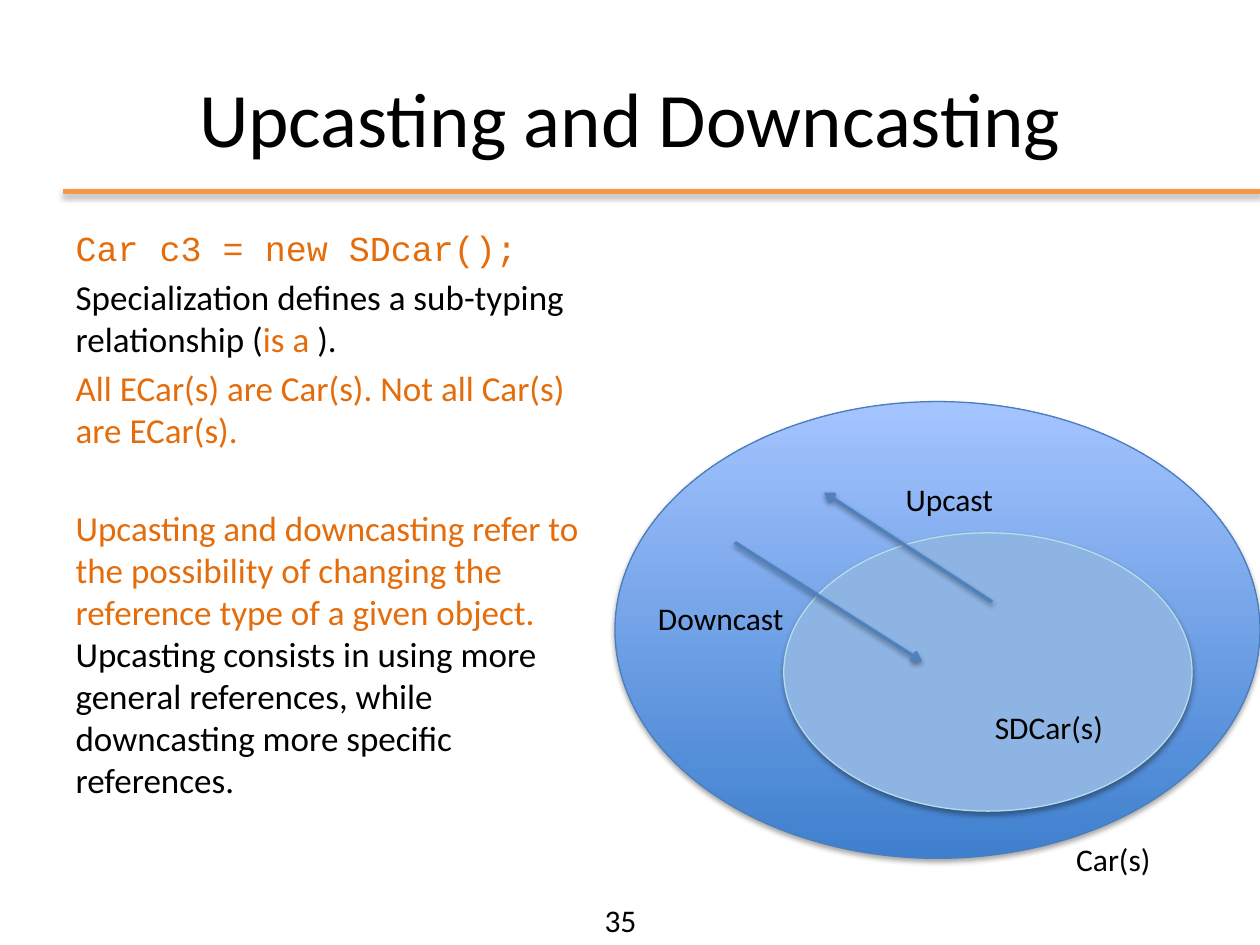
from lxml.etree import SubElement
from pptx import Presentation
from pptx.dml.color import RGBColor
from pptx.enum.shapes import MSO_CONNECTOR, MSO_SHAPE
from pptx.enum.text import MSO_ANCHOR, MSO_AUTO_SIZE, PP_ALIGN
from pptx.oxml.ns import qn
from pptx.util import Pt

STRAIGHT = MSO_CONNECTOR.STRAIGHT
OVAL = MSO_SHAPE.OVAL
MIDDLE = MSO_ANCHOR.MIDDLE
NO_AUTOFIT = MSO_AUTO_SIZE.NONE
CENTER = PP_ALIGN.CENTER

BLACK = RGBColor(0x00, 0x00, 0x00)
ORANGE = RGBColor(0xE4, 0x6C, 0x0A)
RULE_ORANGE = RGBColor(0xF7, 0x96, 0x46)
ARROW_BLUE = RGBColor(0x4F, 0x81, 0xBD)
CAR_OUTLINE = RGBColor(0x4B, 0x7E, 0xBC)
CAR_DARK = RGBColor(0x3F, 0x80, 0xCE)
CAR_LIGHT = RGBColor(0xA4, 0xC4, 0xFF)
SDCAR_FILL = RGBColor(0x8E, 0xB4, 0xE3)
SDCAR_OUTLINE = RGBColor(0xB7, 0xDE, 0xE8)

# Each paragraph: font, space before in points, coloured runs
BODY = [
    ("Courier New", 4, [("Car c3 = new SDcar();", ORANGE)]),
    ("Calibri", 4, [
        ("Specialization defines a sub-typing relationship (", BLACK),
        ("is a ", ORANGE),
        (").", BLACK)]),
    ("Calibri", 4, [("All ECar(s) are Car(s). Not all Car(s) are ECar(s).", ORANGE)]),
    ("Calibri", 32, [
        ("Upcasting and downcasting refer to the possibility of changing "
         "the reference type of a given object. ", ORANGE),
        ("Upcasting consists in using more general references, while "
         "downcasting more specific references.", BLACK)]),
]


def place(shape, box):
    shape.left, shape.top, shape.width, shape.height = (Pt(v) for v in box)


def add_shadow(shape, opacity=35, distance=1.8):
    """Give a shape or connector a soft shadow straight below it."""
    effects = SubElement(shape._element.spPr, qn("a:effectLst"))
    shadow = SubElement(effects, qn("a:outerShdw"), blurRad=str(Pt(3.1)),
                        dist=str(Pt(distance)), dir="5400000", rotWithShape="0")
    color = SubElement(shadow, qn("a:srgbClr"), val=str(BLACK))
    SubElement(color, qn("a:alpha"), val=str(opacity * 1000))


def add_line(page, start, end, color, width):
    line = page.shapes.add_connector(STRAIGHT, *(Pt(v) for v in start + end))
    line.line.color.rgb = color
    line.line.width = Pt(width)
    return line


def add_arrow(page, start, end):
    arrow = add_line(page, start, end, ARROW_BLUE, 2)
    SubElement(arrow.line._get_or_add_ln(), qn("a:tailEnd"), type="arrow")
    add_shadow(arrow, opacity=38, distance=1.6)


def add_label(page, text, box, wrap=False):
    label = page.shapes.add_textbox(*(Pt(v) for v in box))
    label.text_frame.word_wrap = wrap
    para = label.text_frame.paragraphs[0]
    para.text = text
    para.font.name = "Calibri"
    para.font.size = Pt(18)
    para.font.color.rgb = BLACK


def add_ellipse(page, box, outline):
    ellipse = page.shapes.add_shape(OVAL, *(Pt(v) for v in box))
    ellipse.line.color.rgb = outline
    ellipse.line.width = Pt(0.75)
    return ellipse


def fill_title(page, box):
    title = page.shapes.title
    place(title, box)
    frame = title.text_frame
    frame.vertical_anchor = MIDDLE
    para = frame.paragraphs[0]
    para.text = "Upcasting and Downcasting"
    para.alignment = CENTER
    para.font.name = "Calibri"
    para.font.size = Pt(44)
    para.font.color.rgb = BLACK
    rule = add_line(page, (36, 109.5), (720, 109.5), RULE_ORANGE, 3)
    add_shadow(rule)


def fill_body(page, box):
    body = page.placeholders[1]
    place(body, box)
    frame = body.text_frame
    frame.auto_size = NO_AUTOFIT
    for index, (font, space, runs) in enumerate(BODY):
        para = frame.add_paragraph() if index else frame.paragraphs[0]
        para.space_before = Pt(space)
        para.font.name = font
        para.font.size = Pt(20)
        properties = para._p.get_or_add_pPr()
        properties.set("marL", "0")
        properties.set("indent", "0")
        bullet = SubElement(properties, qn("a:buNone"))
        properties.find(qn("a:defRPr")).addprevious(bullet)
        for text, color in runs:
            span = para.add_run()
            span.text = text
            span.font.color.rgb = color


def draw_type_sets(page, box):
    """Draw the SDCar set inside the Car set, with the casts between them."""
    left, top = box[:2]

    def at(x, y):
        return left + x, top + y

    cars = add_ellipse(page, box, CAR_OUTLINE)
    cars.fill.gradient()
    cars.fill.gradient_angle = 90
    for stop, color in zip(cars.fill.gradient_stops, (CAR_DARK, CAR_LIGHT)):
        stop.color.rgb = color
    add_shadow(cars)

    sdcars = add_ellipse(page, at(96.5, 75) + (233.3, 159), SDCAR_OUTLINE)
    sdcars.fill.solid()
    sdcars.fill.fore_color.rgb = SDCAR_FILL
    add_shadow(sdcars)

    add_arrow(page, at(68.5, 80.5), at(175.5, 148.5))
    add_arrow(page, at(215.5, 114.5), at(119.5, 52))

    for text, x, y, width in (("SDCar(s)", 210, 171.5, 77),
                              ("Upcast", 159, 41, 65.5),
                              ("Downcast", 17.5, 109, 87),
                              ("Car(s)", 256.5, 247, 57.5)):
        add_label(page, text, at(x, y) + (width, 29))


def main():
    deck = Presentation()
    deck.slide_width, deck.slide_height = Pt(720), Pt(540)
    page = deck.slides.add_slide(deck.slide_layouts[1])
    fill_title(page, (36, 21.6, 648, 90))
    fill_body(page, (36, 126, 318, 356.4))
    draw_type_sets(page, (351.4, 229.5, 368.6, 261))
    add_label(page, "35", (338.4, 511.2, 381.6, 29), wrap=True)
    deck.save("out.pptx")


if __name__ == "__main__":
    main()
